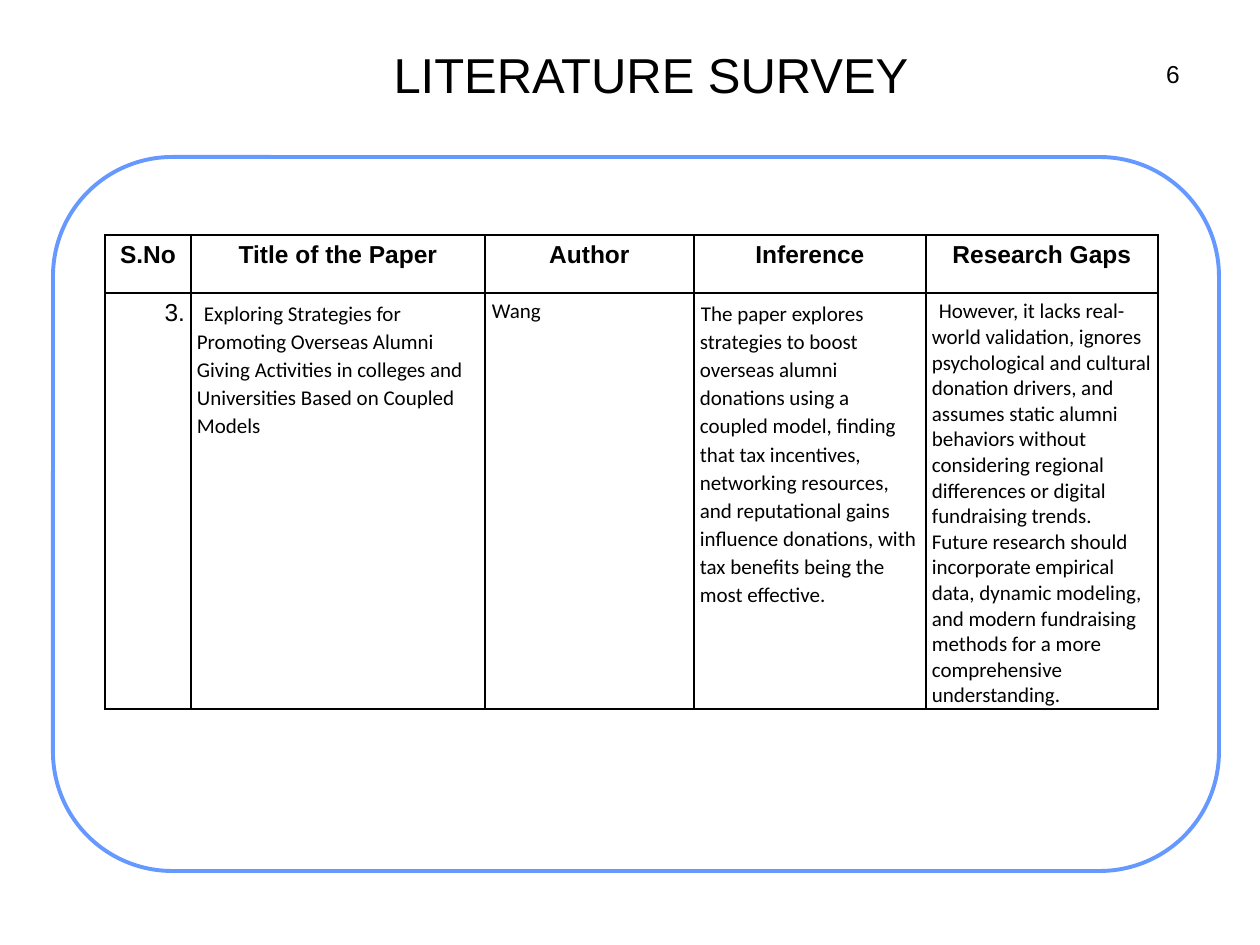
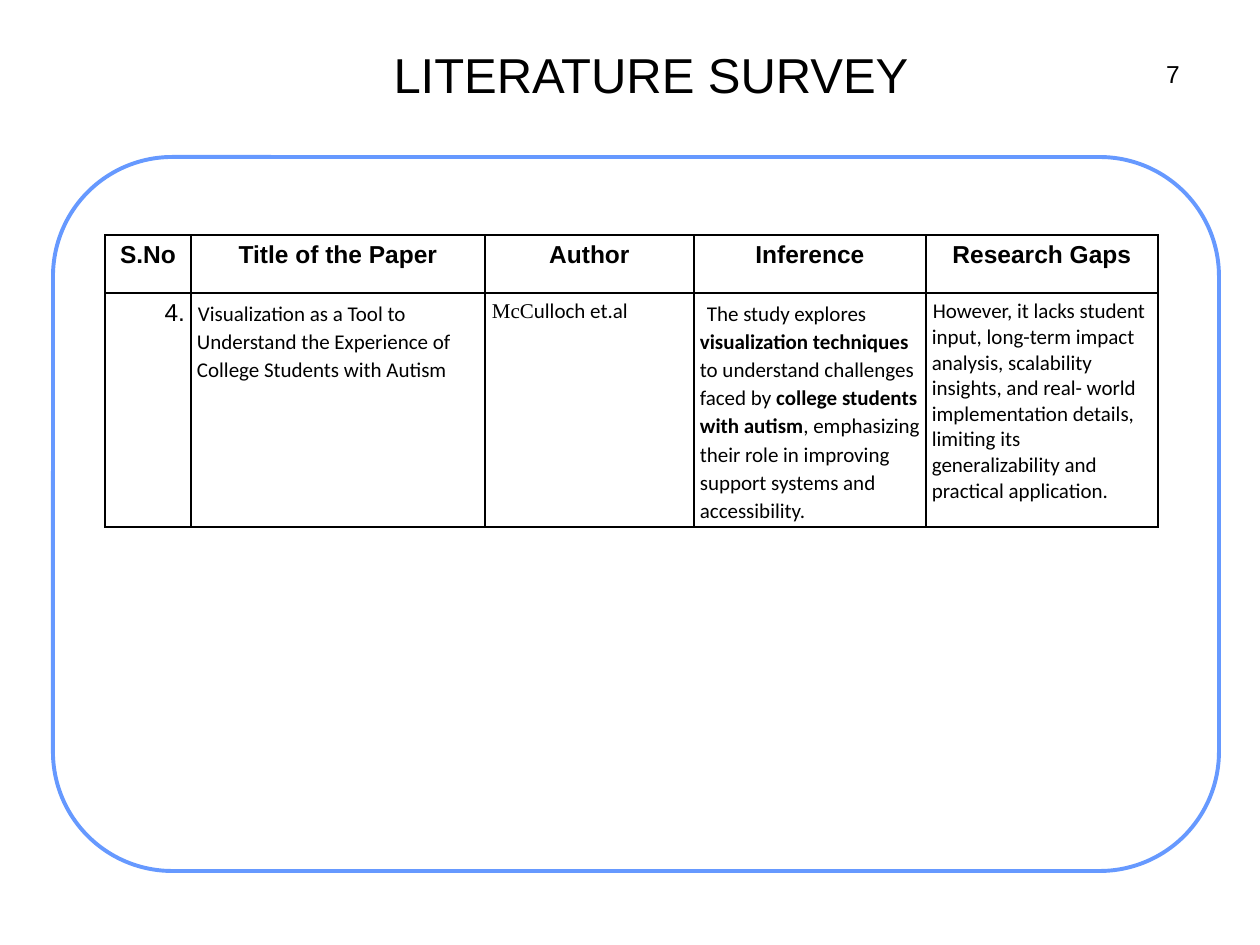
"""Build two literature survey slides, each with one reviewed paper."""
from dataclasses import dataclass

from lxml import etree
from pptx import Presentation
from pptx.dml.color import RGBColor
from pptx.enum.shapes import MSO_SHAPE
from pptx.enum.text import MSO_ANCHOR, PP_ALIGN
from pptx.oxml.ns import qn
from pptx.util import Pt

EMU_PER_PX = 914400 // 126
TITLE_ONLY = 5
ROUNDED = MSO_SHAPE.ROUNDED_RECTANGLE
LEFT, CENTER, RIGHT = PP_ALIGN.LEFT, PP_ALIGN.CENTER, PP_ALIGN.RIGHT
TOP, MIDDLE = MSO_ANCHOR.TOP, MSO_ANCHOR.MIDDLE


@dataclass(frozen=True)
class Theme:
    """Colours, fonts and type sizes shared by the slides."""
    ink: str = "000000"
    paper: str = "FFFFFF"
    frame: str = "6699FF"
    label_font: str = "Arial"
    body_font: str = "Calibri"
    serif_font: str = "Times New Roman"
    title_size: int = 28
    label_size: int = 14
    body_size: int = 12
    frame_width: float = 2.25
    border_width: int = 1


@dataclass(frozen=True)
class Passage:
    """A stretch of text in one font and weight."""
    text: str
    bold: bool = False
    font: str = Theme.body_font


@dataclass(frozen=True)
class Entry:
    """The passages of a body cell with its first-line indent in px."""
    passages: tuple
    indent: int = 1


@dataclass(frozen=True)
class Paper:
    """One row of the survey."""
    number: str
    title: Entry
    author: Entry
    inference: Entry
    gaps: Entry


THEME = Theme()
HEADINGS = ("S.No", "Title of the Paper", "Author", "Inference", "Research Gaps")
COLUMN_WIDTHS = (86, 294, 209, 232, 232)
HEADER_HEIGHT = 58
INSET = 6
WIDE_INDENT = 7
LOOSE_SPACING = 1.1

PAPERS = (
    Paper(
        "3.",
        Entry((Passage("Exploring Strategies for Promoting Overseas Alumni Giving "
                       "Activities in colleges and Universities Based on Coupled "
                       "Models"),), WIDE_INDENT),
        Entry((Passage("Wang"),)),
        Entry((Passage("The paper explores strategies to boost overseas alumni "
                       "donations using a coupled model, finding that tax incentives, "
                       "networking resources, and reputational gains influence "
                       "donations, with tax benefits being the most effective."),)),
        Entry((Passage("However, it lacks real-world validation, ignores psychological "
                       "and cultural donation drivers, and assumes static alumni "
                       "behaviors without considering regional differences or digital "
                       "fundraising trends. Future research should incorporate "
                       "empirical data, dynamic modeling, and modern fundraising "
                       "methods for a more comprehensive understanding."),), WIDE_INDENT),
    ),
    Paper(
        "4.",
        Entry((Passage("Visualization as a Tool to Understand the Experience of "
                       "College Students with Autism"),)),
        Entry((Passage("McC", font=THEME.serif_font), Passage("ulloch et.al"))),
        Entry((Passage("The study explores "),
               Passage("visualization techniques ", bold=True),
               Passage("to understand challenges faced by "),
               Passage("college students with autism", bold=True),
               Passage(", emphasizing their role in improving support systems and "
                       "accessibility.")), WIDE_INDENT),
        Entry((Passage("However, it lacks student input, long-term impact analysis, "
                       "scalability insights, and real- world implementation details, "
                       "limiting its generalizability and practical application."),)),
    ),
)
BODY_HEIGHTS = (416, 234)
FIRST_PAGE = 6


def px(length):
    """Convert px to EMU."""
    return length * EMU_PER_PX


def color(value):
    """Convert a hex string to a colour."""
    return RGBColor.from_string(value)


def format_run(run, size, font, bold=False):
    """Set the font of a run."""
    run.font.size = Pt(size)
    run.font.name = font
    run.font.bold = bold
    run.font.color.rgb = color(THEME.ink)


def set_label(frame, text, align, size=THEME.label_size, bold=False):
    """Write one line in the label font."""
    frame.text = text
    paragraph = frame.paragraphs[0]
    paragraph.alignment = align
    format_run(paragraph.runs[0], size, THEME.label_font, bold)


def set_insets(holder):
    """Give a text frame or a cell the shared insets."""
    holder.margin_left = holder.margin_right = holder.margin_top = px(INSET)


def add_title(slide, text):
    """Place and format the title placeholder."""
    title = slide.shapes.title
    title.left, title.top, title.width, title.height = map(px, (179, 40, 944, 67))
    frame = title.text_frame
    set_insets(frame)
    frame.margin_bottom = px(INSET)
    frame.vertical_anchor = MIDDLE
    set_label(frame, text, CENTER, THEME.title_size)


def add_page_number(slide, number):
    """Write the page number at the upper right."""
    box = slide.shapes.add_textbox(*map(px, (1158, 53, 28, 40)))
    set_insets(box.text_frame)
    box.text_frame.word_wrap = False
    set_label(box.text_frame, str(number), RIGHT)


def add_frame(slide):
    """Draw the rounded frame around the content."""
    frame = slide.shapes.add_shape(ROUNDED, *map(px, (53, 157, 1166, 714)))
    frame.adjustments[0] = 0.167
    frame.shadow.inherit = False
    frame.fill.solid()
    frame.fill.fore_color.rgb = color(THEME.paper)
    frame.line.color.rgb = color(THEME.frame)
    frame.line.width = Pt(THEME.frame_width)


def style_cell(cell):
    """Clear the fill, set the insets and draw the four borders."""
    set_insets(cell)
    cell.margin_bottom = 0
    cell.vertical_anchor = TOP
    cell.fill.background()
    properties = cell._tc.get_or_add_tcPr()
    for position, side in enumerate(("lnL", "lnR", "lnT", "lnB")):
        border = etree.Element(qn(f"a:{side}"), w=str(Pt(THEME.border_width)))
        fill = etree.SubElement(border, qn("a:solidFill"))
        etree.SubElement(fill, qn("a:srgbClr"), val=THEME.ink)
        properties.insert(position, border)


def set_entry(cell, entry, spacing):
    """Write the passages of a body cell."""
    paragraph = cell.text_frame.paragraphs[0]
    paragraph._p.get_or_add_pPr().set("indent", str(px(entry.indent)))
    paragraph.alignment = LEFT
    paragraph.line_spacing = spacing
    for passage in entry.passages:
        run = paragraph.add_run()
        run.text = passage.text
        format_run(run, THEME.body_size, passage.font, passage.bold)


def add_survey_table(slide, paper, body_height):
    """Add the table with the headings and one paper."""
    box = (105, 235, sum(COLUMN_WIDTHS), HEADER_HEIGHT + body_height)
    table = slide.shapes.add_table(2, len(HEADINGS), *map(px, box)).table
    table.first_row = table.horz_banding = False
    for column, width in zip(table.columns, COLUMN_WIDTHS):
        column.width = px(width)
    for row, height in zip(table.rows, (HEADER_HEIGHT, body_height)):
        row.height = px(height)
    for cell in table.iter_cells():
        style_cell(cell)
    for index, heading in enumerate(HEADINGS):
        set_label(table.cell(0, index).text_frame, heading, CENTER, bold=True)
    set_label(table.cell(1, 0).text_frame, paper.number, RIGHT)
    entries = ((paper.title, LOOSE_SPACING), (paper.author, 1.0),
               (paper.inference, LOOSE_SPACING), (paper.gaps, 1.0))
    for index, (entry, spacing) in enumerate(entries, start=1):
        set_entry(table.cell(1, index), entry, spacing)


def main():
    """Build and save the presentation."""
    presentation = Presentation()
    presentation.slide_width, presentation.slide_height = px(1260), px(945)
    layout = presentation.slide_layouts[TITLE_ONLY]
    for page, (paper, height) in enumerate(zip(PAPERS, BODY_HEIGHTS), FIRST_PAGE):
        slide = presentation.slides.add_slide(layout)
        add_frame(slide)
        add_page_number(slide, page)
        add_title(slide, "LITERATURE SURVEY")
        add_survey_table(slide, paper, height)
    presentation.save("out.pptx")


if __name__ == "__main__":
    main()
